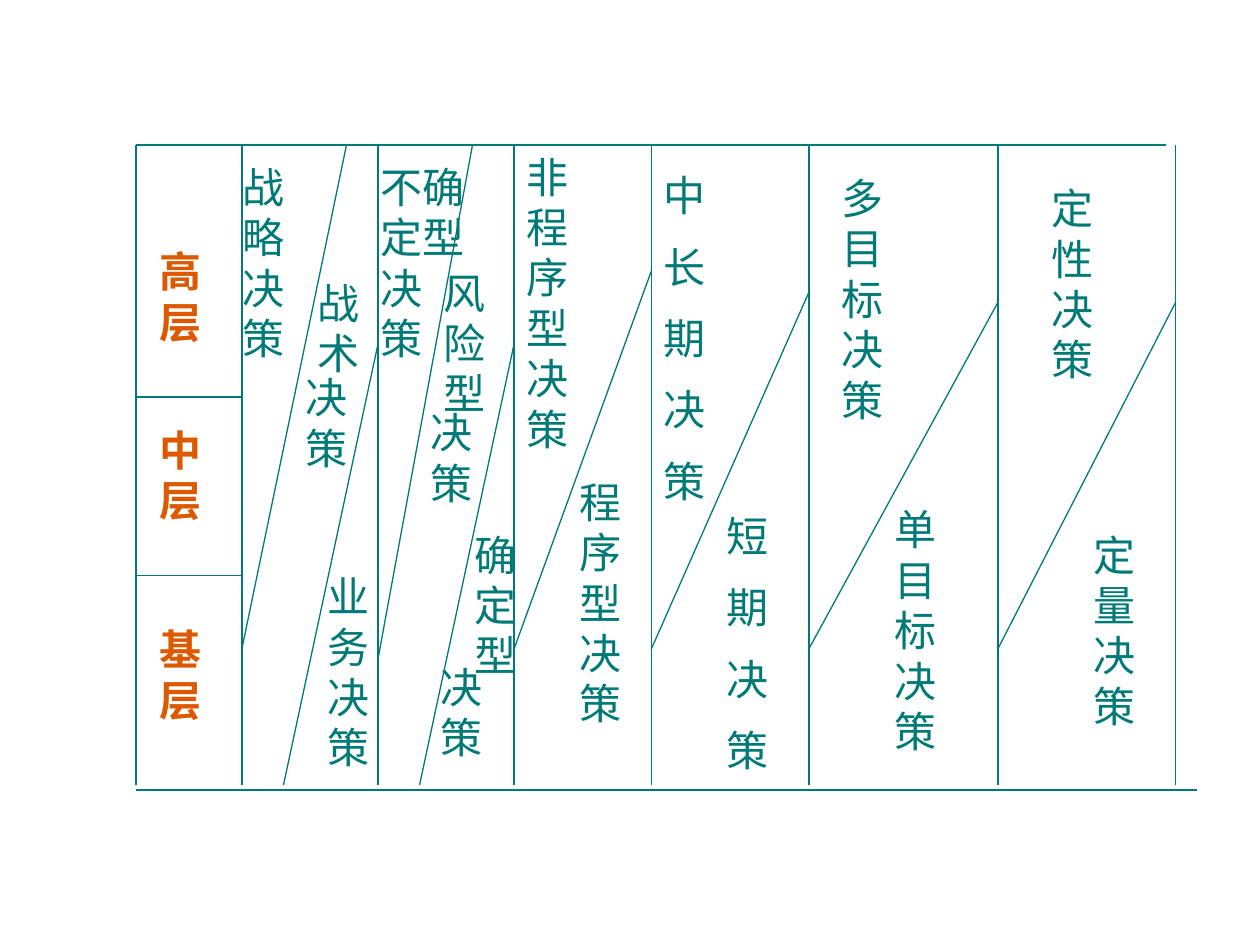
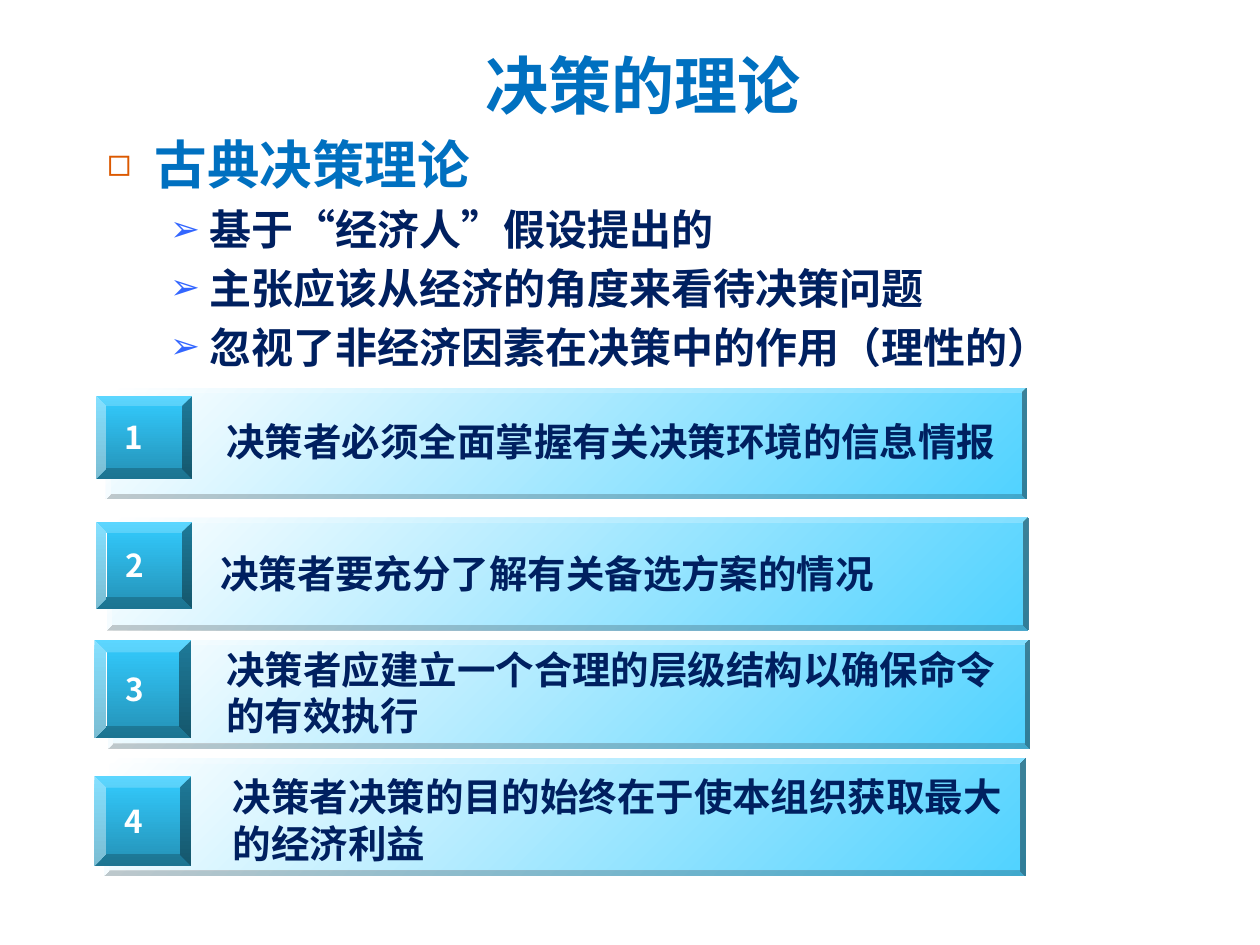
import pptx
import pptx.dml.color
import pptx.enum.shapes
import pptx.enum.text
import pptx.util
from lxml import etree
from pptx.oxml.ns import qn

Inches = pptx.util.Inches
Pt = pptx.util.Pt
ALIGN = pptx.enum.text.PP_ALIGN
ANCHOR = pptx.enum.text.MSO_ANCHOR
SHAPE = pptx.enum.shapes.MSO_SHAPE

TEAL, ORANGE, WHITE = "007A77", "DC5900", "FFFFFF"
BLUE, NAVY, SKY = "0070C0", "002060", "33CCFF"
CJK = "Noto Sans CJK SC"


def colour(hex_code):
    return pptx.dml.color.RGBColor.from_string(hex_code)


def write(frame, lines, size, hue, font=CJK, bold=False, align=ALIGN.LEFT,
          anchor=ANCHOR.MIDDLE, wrap=False, before=0, spacing=1.2, append=False):
    frame.word_wrap = wrap
    frame.auto_size = pptx.enum.text.MSO_AUTO_SIZE.NONE
    frame.vertical_anchor = anchor
    written = []
    for number, line in enumerate(lines):
        paragraph = frame.add_paragraph() if append or number else frame.paragraphs[0]
        paragraph.alignment = align
        paragraph.line_spacing = Pt(size * spacing)
        paragraph.space_before = Pt(size * before)
        run = paragraph.add_run()
        run.text = line
        run.font.size = Pt(size)
        run.font.bold = bold
        run.font.name = font
        run.font.color.rgb = colour(hue)
        east_asian = etree.SubElement(run.font._element, qn("a:ea"))
        east_asian.set("typeface", CJK)
        written.append(paragraph)
    return written


deck = pptx.Presentation()
deck.slide_width = Inches(10)
deck.slide_height = Inches(7.5)

matrix = deck.slides.add_slide(deck.slide_layouts[6])
TOP, BOTTOM, LEFT = 1.15, 6.23, 1.08
dividers = [LEFT, 1.92, 3, 4.08, 5.17, 6.42, 7.92, 9.33]
rules = [(x, TOP, x, BOTTOM) for x in dividers]
rules += [(LEFT, y, dividers[1], y) for y in (3.15, 4.57)]
rules += [(LEFT, TOP, 9.25, TOP), (LEFT, 6.27, 9.5, 6.27)]
rules += [(2.75, TOP, 1.92, 5.15), (2.25, BOTTOM, 3, 2.73),
          (3.75, TOP, 3, 5.23), (3.33, BOTTOM, 4.08, 2.73)]
rules += [(start, 5.15, end, y) for start, end, y
          in zip(dividers[3:], dividers[4:], (2.15, 2.32, 2.4, 2.4))]
for x1, y1, x2, y2 in rules:
    rule = matrix.shapes.add_connector(
        pptx.enum.shapes.MSO_CONNECTOR.STRAIGHT,
        Inches(x1), Inches(y1), Inches(x2), Inches(y2))
    rule.line.color.rgb = colour(TEAL)
    rule.line.width = Pt(0.75)
    etree.SubElement(rule._element.spPr, qn("a:effectLst"))

levels = [(1.17, 1.9, "高层"), (1.17, 3.32, "中层"), (1.17, 4.9, "基层")]
decisions = [
    (1.83, 1.23, "战略决策"), (2.42, 2.15, "战术"), (2.33, 2.9, "决策"),
    (2.5, 4.48, "业务决策"), (2.92, 1.23, ["不确", "定型", "决", "策"]),
    (3.42, 2.07, "风险型"), (3.32, 3.18, "决策"), (3.67, 4.15, "确定型"),
    (3.4, 5.2, "决策"), (4.08, 1.15, "非程序型决策"), (4.5, 3.73, "程序型决策"),
    (6.58, 1.32, "多目标决策"), (7, 3.95, "单目标决策"),
    (8.25, 1.4, "定性决策"), (8.58, 4.15, "定量决策"),
]
horizons = [(5.17, 1.23, "中长期决策"), (5.67, 3.93, "短期决策")]
for labels, hue, bold, before in ((levels, ORANGE, True, 0),
                                  (decisions, TEAL, False, 0),
                                  (horizons, TEAL, False, 0.5)):
    for left, top, words in labels:
        width = 0.2 + 0.33 * len(words[0])
        height = 0.1 + len(words) * (0.4 + 0.32 * before)
        label = matrix.shapes.add_textbox(
            Inches(left), Inches(top), Inches(width), Inches(height))
        write(label.text_frame, words, 24, hue, font="Times New Roman",
              bold=bold, before=before)

theory = deck.slides.add_slide(deck.slide_layouts[1])
heading = theory.shapes.title
heading.left, heading.top = Inches(0.67), Inches(0.32)
heading.width, heading.height = Inches(8.36), Inches(0.77)
heading.text_frame.margin_left = Inches(0.6)
write(heading.text_frame, ["决策的理论"], 36, BLUE, bold=True, wrap=True,
      align=ALIGN.CENTER, anchor=ANCHOR.TOP)

outline = theory.placeholders[1]
outline.left, outline.top = Inches(0.75), Inches(1.05)
outline.width, outline.height = Inches(8.19), Inches(2.11)
outline_style = dict(bold=True, wrap=True, anchor=ANCHOR.TOP, before=0.2)
topics = write(outline.text_frame, ["古典决策理论"], 30, BLUE, spacing=1.08,
               **outline_style)
claims = write(outline.text_frame, [
    "基于“经济人”假设提出的",
    "主张应该从经济的角度来看待决策问题",
    "忽视了非经济因素在决策中的作用（理性的）",
], 24, NAVY, append=True, **outline_style)
for paragraphs, level, margin, indent, mark, hue, percent in (
        (topics, 0, 0.38, -0.38, "◻", ORANGE, 75),
        (claims, 1, 0.81, -0.31, "➢", "3366FF", 85)):
    for paragraph in paragraphs:
        paragraph.level = level
        properties = paragraph._p.get_or_add_pPr()
        properties.set("marL", str(Inches(margin)))
        properties.set("indent", str(Inches(indent)))
        bullet_colour = etree.SubElement(properties, qn("a:buClr"))
        etree.SubElement(bullet_colour, qn("a:srgbClr")).set("val", hue)
        etree.SubElement(properties, qn("a:buSzPct")).set("val", str(percent * 1000))
        etree.SubElement(properties, qn("a:buChar")).set("char", mark)

conditions = [
    ((0.84, 3.08, 0.88), (0.76, 3.14, 0.66), (1.7, 3.13, 0.74),
     ["决策者必须全面掌握有关决策环境的信息情报"]),
    ((0.85, 4.11, 0.89), (0.76, 4.14, 0.69), (1.65, 4.18, 0.74),
     ["决策者要充分了解有关备选方案的情况"]),
    ((0.86, 5.08, 0.86), (0.75, 5.08, 0.78), (1.7, 5.12, 0.74),
     ["决策者应建立一个合理的层级结构以确保命令", "的有效执行"]),
    ((0.83, 6.02, 0.93), (0.75, 6.16, 0.71), (1.75, 6.06, 0.89),
     ["决策者决策的目的始终在于使本组织获取最大", "的经济利益"]),
]
for number, (bar, tile, caption, lines) in enumerate(conditions, 1):
    for (left, top, height), width, edge, start, end, angle in (
            (bar, 7.31, 0.04, WHITE, "50D2FF", 315),
            (tile, 0.77, 0.125, SKY, "2491B6", 270)):
        block = theory.shapes.add_shape(
            SHAPE.BEVEL, Inches(left), Inches(top), Inches(width), Inches(height))
        block.adjustments[0] = edge
        block.shadow.inherit = False
        block.line.fill.background()
        block.fill.gradient()
        block.fill.gradient_angle = angle
        for stop, hue, position in zip(block.fill.gradient_stops, (start, end), (0, 1)):
            stop.color.rgb = colour(hue)
            stop.position = position
    block.text_frame.margin_left = Inches(0.15)
    write(block.text_frame, [str(number)], 18, WHITE, font="Noto Sans CJK KR", bold=True)
    left, top, height = caption
    statement = theory.shapes.add_textbox(
        Inches(left), Inches(top), Inches(6.35), Inches(height))
    write(statement.text_frame, lines, 22, NAVY, bold=True)

deck.save("out.pptx")
